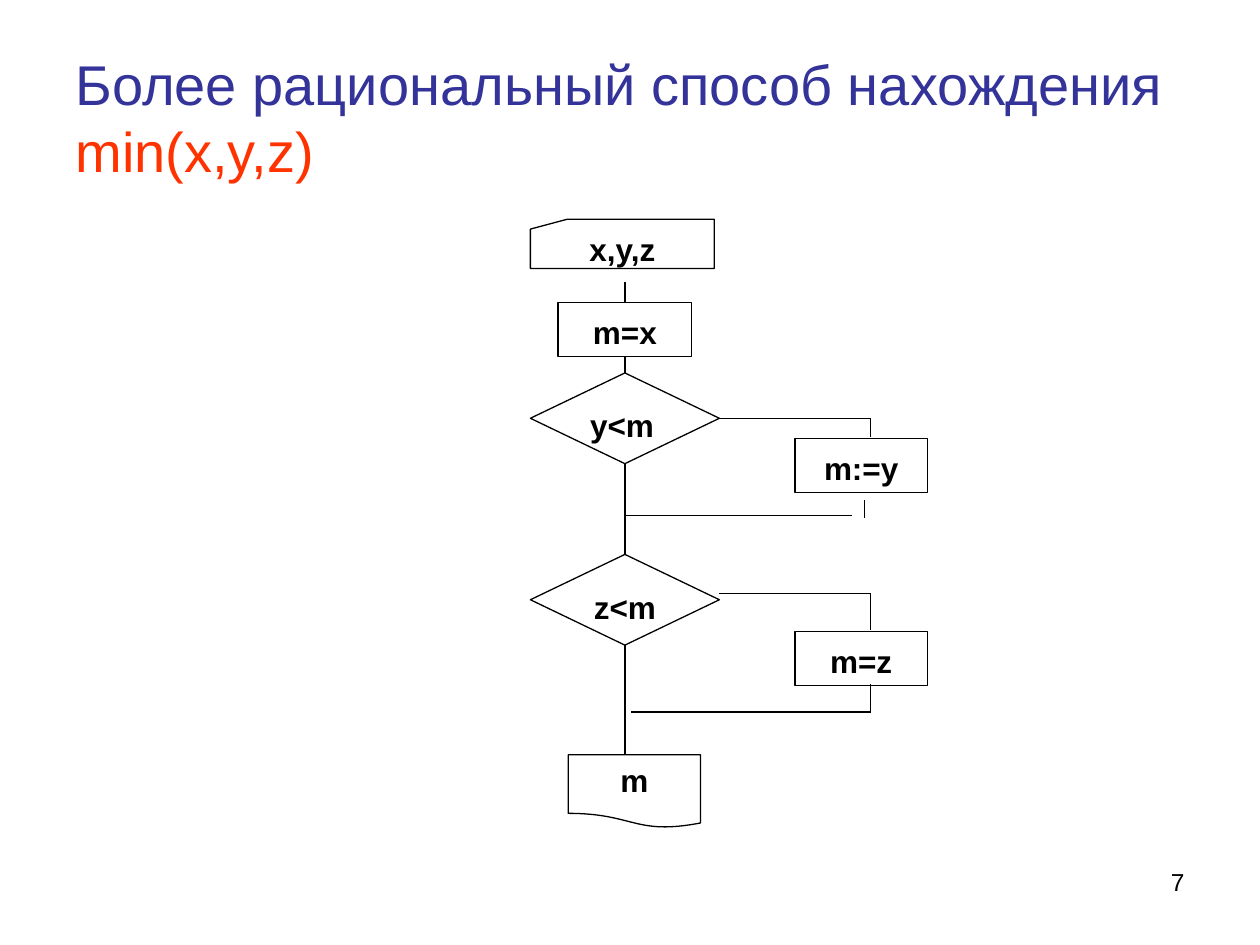
import lxml.etree
import pptx
import pptx.dml.color
import pptx.enum.shapes
import pptx.enum.text
import pptx.oxml.ns
import pptx.util

Inches = pptx.util.Inches
SHAPE = pptx.enum.shapes.MSO_SHAPE
ALIGN = pptx.enum.text.PP_ALIGN
ANCHOR = pptx.enum.text.MSO_ANCHOR

THEME = {
    "font": "Arial",
    "ink": "000000", "paper": "FFFFFF", "title": "333399", "accent": "FF3300",
    "title_size": 32, "label_size": 18, "number_size": 14,
    "line": 0.75, "spacing": 1.12,
}

TITLE = [("Более рациональный способ нахождения ", "title"), ("min(x,y,z)", "accent")]
PAGE_NUMBER = "7"

AXIS, BRANCH = 4.96, 6.91
STEP, TEST = (1.05, 0.43), (1.5, 0.72)

BLOCKS = {
    "assign x": ("m=x", SHAPE.RECTANGLE, (4.43, 2.4), (1.06, 0.43), {}),
    "test y": ("y<m", SHAPE.FLOWCHART_DECISION, (4.21, 2.96), TEST, {"alignment": ALIGN.LEFT}),
    "assign y": ("m:=y", SHAPE.RECTANGLE, (6.31, 3.48), STEP, {}),
    "test z": ("z<m", SHAPE.FLOWCHART_DECISION, (4.21, 4.4), TEST, {}),
    "assign z": ("m=z", SHAPE.RECTANGLE, (6.31, 5.01), STEP, {}),
    "output": ("m", SHAPE.FLOWCHART_DOCUMENT, (4.51, 5.99), (1.05, 0.58), {"line_spacing": 1.0}),
    "input": ("x,y,z", SHAPE.FLOWCHART_CARD, (4.21, 1.74), (1.46, 0.39), {"line_spacing": 1.0}),
}

LINES = [
    ((AXIS, 2.4), (AXIS, 2.24), ("assign x", 0), None),
    ((AXIS, 2.96), (AXIS, 2.83), ("test y", 0), ("assign x", 2)),
    ((AXIS, 3.68), (AXIS, 4.4), ("test y", 2), ("test z", 0)),
    ((AXIS, 5.12), (AXIS, 5.99), ("test z", 2), None),
    ((6.86, 3.97), (6.86, 4.11), None, None),
    ((BRANCH, 5.0), (BRANCH, 4.71), None, None),
    ((BRANCH, 4.71), (5.71, 4.71), None, None),
    ((AXIS, 5.74), (AXIS, 5.63), None, None),
    ((6.76, 4.09), (AXIS, 4.09), None, None),
    ((BRANCH, 3.47), (BRANCH, 3.32), None, None),
    ((BRANCH, 3.32), (5.71, 3.32), None, ("test y", 3)),
    ((5.01, 5.65), (BRANCH, 5.65), None, None),
    ((BRANCH, 5.43), (BRANCH, 5.65), None, None),
]


def colour(name):
    return pptx.dml.color.RGBColor.from_string(THEME[name])


def apply(target, values):
    for name, value in values.items():
        setattr(target, name, value)


def write(box, spans, size, frame_format, para_format, bold=False):
    frame = box.text_frame
    apply(frame, {"word_wrap": True, "vertical_anchor": ANCHOR.TOP, **frame_format})
    para = frame.paragraphs[0]
    apply(para, para_format)
    for text, tint in spans:
        span = para.add_run()
        span.text = text
        apply(span.font, {"name": THEME["font"], "size": pptx.util.Pt(THEME[size]), "bold": bold})
        span.font.color.rgb = colour(tint)


def outline(item):
    item.line.color.rgb = colour("ink")
    item.line.width = pptx.util.Pt(THEME["line"])


def add_block(page, name):
    text, kind, place, size, para_format = BLOCKS[name]
    box = page.shapes.add_shape(kind, *map(Inches, place + size))
    box.shadow.inherit = False
    outline(box)
    frame_format = {}
    if name == "input":
        box.fill.background()
        frame_format = {"word_wrap": False, "vertical_anchor": ANCHOR.MIDDLE}
    else:
        box.fill.solid()
        box.fill.fore_color.rgb = colour("paper")
    if name == "output":
        box.element.spPr.xfrm.set("flipH", "1")
    para_format = {"alignment": ALIGN.CENTER, "line_spacing": THEME["spacing"], **para_format}
    write(box, [(text, "ink")], "label_size", frame_format, para_format, bold=True)
    return box


def add_line(page, boxes, start, end, source, target):
    straight = pptx.enum.shapes.MSO_CONNECTOR.STRAIGHT
    line = page.shapes.add_connector(straight, *map(Inches, start + end))
    outline(line)
    lxml.etree.SubElement(line.element.spPr, pptx.oxml.ns.qn("a:effectLst"))
    for join, goal in ((line.begin_connect, source), (line.end_connect, target)):
        if goal:
            join(boxes[goal[0]], goal[1])


def main():
    """Build the flowchart slide for the minimum of three numbers."""
    deck = pptx.Presentation()
    apply(deck, {"slide_width": Inches(10), "slide_height": Inches(7.5)})
    page = deck.slides.add_slide(deck.slide_layouts[6])
    title = page.shapes.add_textbox(*map(Inches, (0.5, 0.3, 9, 1.25)))
    write(title, TITLE, "title_size", {"vertical_anchor": ANCHOR.MIDDLE}, {"alignment": ALIGN.LEFT})
    boxes = {name: add_block(page, name) for name in BLOCKS}
    for line in LINES:
        add_line(page, boxes, *line)
    number = page.shapes.add_textbox(*map(Inches, (7.17, 6.83, 2.33, 0.52)))
    write(number, [(PAGE_NUMBER, "ink")], "number_size", {}, {"alignment": ALIGN.RIGHT})
    deck.save("out.pptx")


if __name__ == "__main__":
    main()
